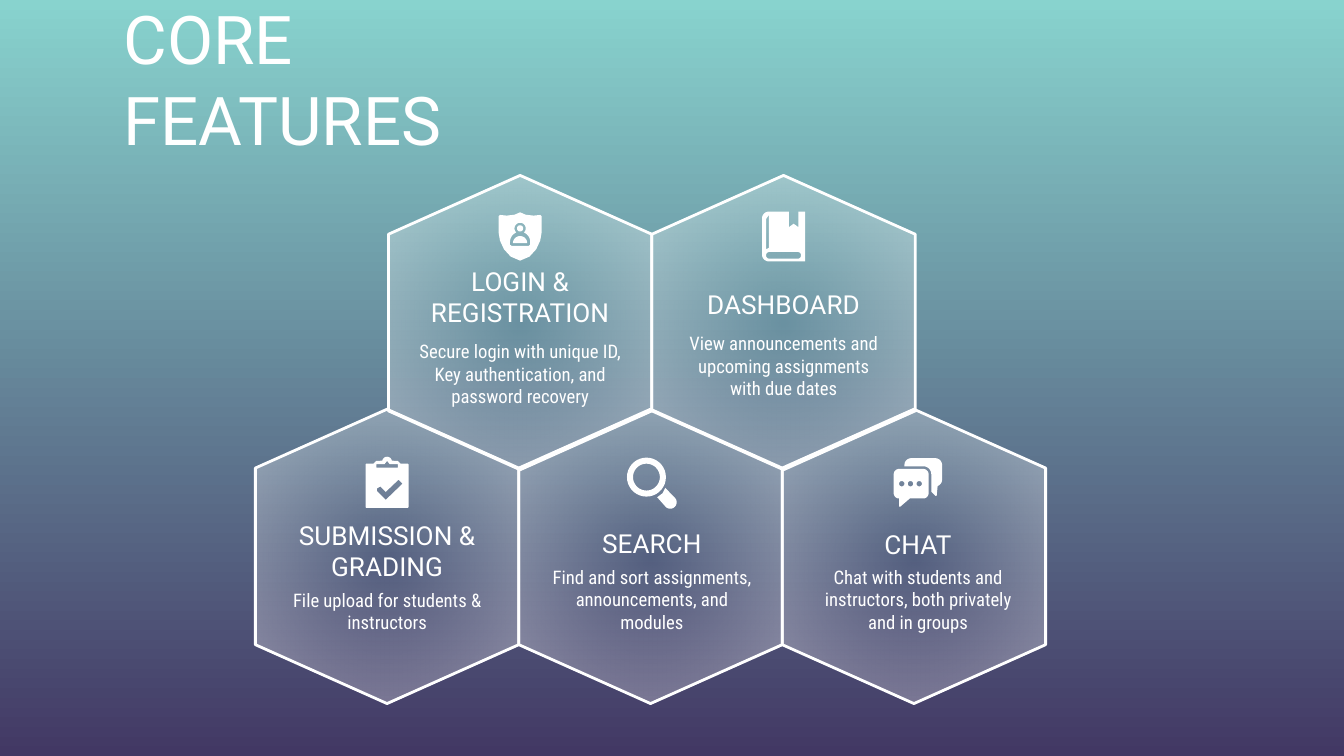
import math

from lxml import etree
from pptx import Presentation
from pptx.dml.color import RGBColor
from pptx.enum import shapes, text
from pptx.oxml.ns import qn
from pptx.util import Inches, Pt

THEME = {
    "white": RGBColor.from_string("FFFFFF"),
    "background": ("88D3CE", "423864"),
    "heading_font": "Roboto",
    "body_font": "Roboto Condensed",
    "title_size": 36,
    "heading_size": 14,
    "body_size": 10,
    "outline": 1.5,
    "edge_opacity": 39,
}
TOP, MIDDLE, BOTTOM = (text.MSO_ANCHOR.TOP, text.MSO_ANCHOR.MIDDLE, text.MSO_ANCHOR.BOTTOM)


def arc(x, y, radius, start, end):
    steps = max(2, math.ceil(abs(end - start) / 10))
    angles = [math.radians(start + (end - start) * i / steps) for i in range(steps + 1)]
    return [(x + radius * math.cos(a), y + radius * math.sin(a)) for a in angles]


def circle(x, y, radius):
    return arc(x, y, radius, 0, 360)


def rounded(left, top, right, bottom, radius, tail=(), tab=()):
    return [
        *arc(left + radius, top + radius, radius, 180, 270), *tab,
        *arc(right - radius, top + radius, radius, 270, 360),
        *arc(right - radius, bottom - radius, radius, 0, 90), *tail,
        *arc(left + radius, bottom - radius, radius, 90, 180),
    ]


def mirrored(half):
    return half + [(-x, y) for x, y in reversed(half)]


ICONS = {
    "shield": [
        mirrored([(0, -18), (-4, -16.2), (-10, -15.5), (-15, -16), (-16, -15), (-16, -3),
                  (-15, 3), (-12, 9.5), (-7, 15), (0, 18)]),
        [*arc(0, -6, 4.2, 135, 405), *arc(0, 4, 7.5, -65, 0), (7.5, 6), (6.5, 7),
         (-6.5, 7), (-7.5, 6), *arc(0, 4, 7.5, 180, 245)],
        circle(0, -6, 2.3),
        arc(0, 5, 5.3, 180, 360),
    ],
    "book": [
        [*arc(-11, -13.5, 5, 180, 270), (4, -18.5), (4, -7), (7.5, -9.5), (11, -7),
         (11, -18.5), (16, -18.5), (16, 18.5), *arc(-11, 13.5, 5, 90, 180)],
        [(-13, -13), (-11, -16), (-11, 8.5), (-13, 9.5)],
        rounded(-13, 11.5, 13, 16.5, 2.4),
    ],
    "clipboard": [
        rounded(-16, -14, 16, 19, 1,
                tab=[(-10, -14), (-8, -16), *arc(0, -15.5, 3.6, 190, 350), (8, -16), (10, -14)]),
        mirrored([(-8, -11), (-8, -13.5), (-2, -13.5), (0, -16)]),
        [(-7.5, 4.5), (-5, 3), (-1, 7), (8.5, -2), (11.5, 1), (-1, 13), (-7.5, 6.5)],
    ],
    "magnifier": [
        circle(-4, -4, 14.5),
        circle(-4, -4, 10),
        [(4, 11), (8, 8), (10, 4), *arc(13.7, 14.7, 4.8, -45, 135)],
    ],
    "bubbles": [
        rounded(-18, -10, 8, 12, 4, tail=[(-6, 12), (-13, 18), (-14, 18)]),
        *[circle(x, 1, 2) for x in (-12, -5.5, 1)],
        [(-10, -12), *arc(-5, -13, 5, 180, 270), *arc(13, -13, 5, 270, 360),
         *arc(13, -2, 5, 0, 70), (14, 10), (13, 10), (10, 7), *arc(4, -6, 6, 0, -90)],
    ],
}

TITLE = "CORE FEATURES"
ONE_LINE = {"anchor": BOTTOM, "insets": (0, 0.33)}
RAISED = {"anchor": BOTTOM, "insets": (0.1, 0.33)}
CENTERED = {"anchor": MIDDLE}
FEATURE_ROWS = [
    {"first": 3.87, "center": 2.4, "icons": 1.76, "features": [
        ("shield", 3.01, "LOGIN & REGISTRATION", 2.14, RAISED,
         "Secure login with unique ID, Key authentication, and password recovery", 2.43),
        ("book", 4.97, "DASHBOARD", 2.03, ONE_LINE,
         "View announcements and upcoming assignments with due dates", 2.37),
    ]},
    {"first": 2.88, "center": 4.14, "icons": 3.59, "features": [
        ("clipboard", 2.02, "SUBMISSION & GRADING", 3.78, CENTERED,
         "File upload for students & instructors", 4.28),
        ("magnifier", 3.99, "SEARCH", 3.81, ONE_LINE,
         "Find and sort assignments, announcements, and modules", 4.11),
        ("bubbles", 5.97, "CHAT", 3.82, ONE_LINE,
         "Chat with students and instructors, both privately and in groups", 4.11),
    ]},
]
HEX_LENGTH, HEX_WIDTH = 2.19, 1.96
TEXT_WIDTH = 1.72


def add_text(page, words, left, top, width, height, *, size, font,
             align=text.PP_ALIGN.CENTER, anchor=BOTTOM, insets=(0.1, 0.1)):
    box = page.shapes.add_textbox(*map(Inches, (left, top, width, height)))
    frame = box.text_frame
    frame.word_wrap = True
    frame.vertical_anchor = anchor
    frame.margin_left = frame.margin_right = Inches(0.1)
    frame.margin_top, frame.margin_bottom = map(Inches, insets)
    para = frame.paragraphs[0]
    para.alignment = align
    span = para.add_run()
    span.text = words
    span.font.size = Pt(size)
    span.font.name = font
    span.font.color.rgb = THEME["white"]


def add_hexagon(page, x, y):
    hexagon = page.shapes.add_shape(
        shapes.MSO_SHAPE.FLOWCHART_PREPARATION,
        *map(Inches, (x - HEX_LENGTH / 2, y - HEX_WIDTH / 2, HEX_LENGTH, HEX_WIDTH)))
    hexagon.rotation = 90
    hexagon.shadow.inherit = False
    hexagon.line.color.rgb = THEME["white"]
    hexagon.line.width = Pt(THEME["outline"])
    hexagon.fill.gradient()
    for stop in hexagon.fill.gradient_stops:
        stop.color.rgb = THEME["white"]
    gradient = hexagon._element.spPr.find(qn("a:gradFill"))
    for color, opacity in zip(gradient.iter(qn("a:srgbClr")), (0, THEME["edge_opacity"])):
        etree.SubElement(color, qn("a:alpha"), val=str(opacity * 1000))
    gradient.remove(gradient.find(qn("a:lin")))
    radial = etree.SubElement(gradient, qn("a:path"), {"path": "circle"})
    etree.SubElement(radial, qn("a:fillToRect"), dict.fromkeys("ltrb", "50000"))


def add_icon(page, contours, x, y):
    placed = [[(Inches(x + dx / 100), Inches(y + dy / 100)) for dx, dy in contour]
              for contour in contours]
    builder = page.shapes.build_freeform(*placed[0][0])
    for index, contour in enumerate(placed):
        if index:
            builder.move_to(*contour[0])
        builder.add_line_segments(contour[1:], close=True)
    icon = builder.convert_to_shape()
    icon.shadow.inherit = False
    icon.fill.solid()
    icon.fill.fore_color.rgb = THEME["white"]
    icon.line.fill.background()


def main():
    deck = Presentation()
    deck.slide_width = Inches(10)
    deck.slide_height = deck.slide_width * 9 // 16
    page = deck.slides.add_slide(deck.slide_layouts[6])
    backdrop = page.background.fill
    backdrop.gradient()
    backdrop.gradient_angle = 270
    for stop, color in zip(backdrop.gradient_stops, THEME["background"]):
        stop.color.rgb = RGBColor.from_string(color)

    add_text(page, TITLE, 0.82, 0.55, 3.25, 0.73, size=THEME["title_size"],
             font=THEME["heading_font"], align=text.PP_ALIGN.LEFT)
    for row in FEATURE_ROWS:
        for index, feature in enumerate(row["features"]):
            icon, left, heading, heading_top, layout, body, body_top = feature
            add_hexagon(page, row["first"] + index * HEX_WIDTH, row["center"])
            add_icon(page, ICONS[icon], left + TEXT_WIDTH / 2, row["icons"])
            add_text(page, heading, left, heading_top, TEXT_WIDTH, 0.63,
                     size=THEME["heading_size"], font=THEME["heading_font"], **layout)
            add_text(page, body, left, body_top, TEXT_WIDTH, 0.4, anchor=TOP,
                     size=THEME["body_size"], font=THEME["body_font"])
    deck.save("out.pptx")


if __name__ == "__main__":
    main()
